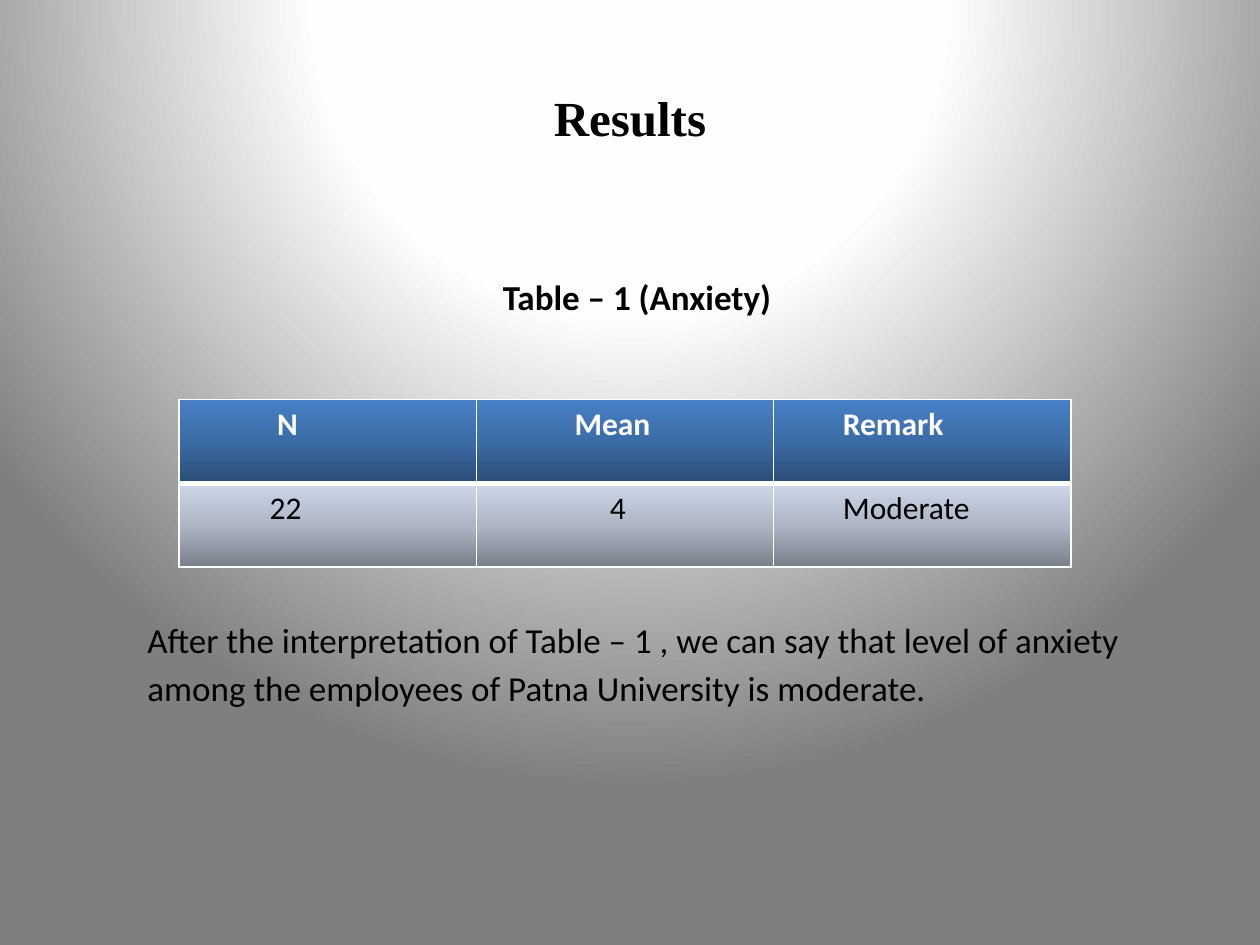
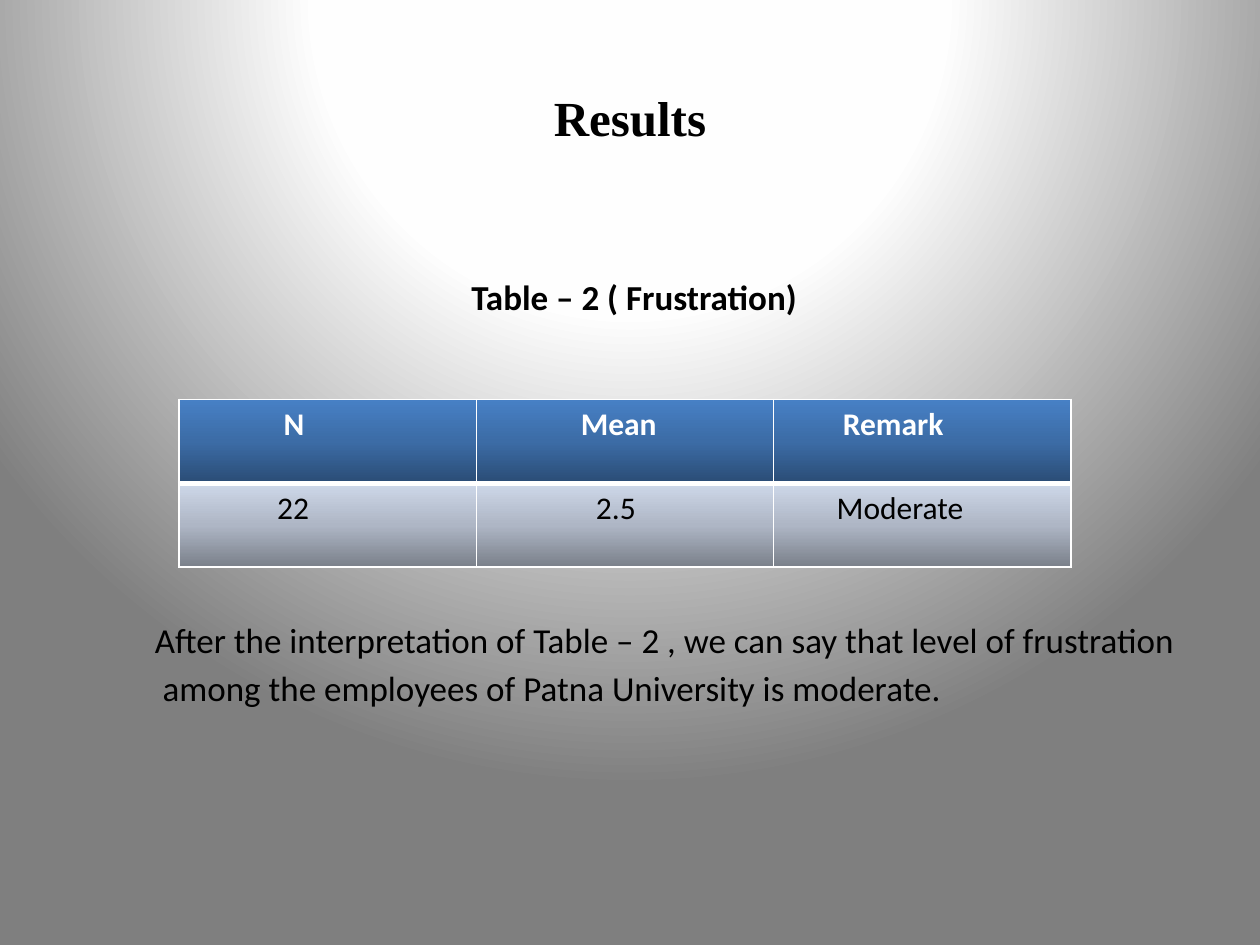
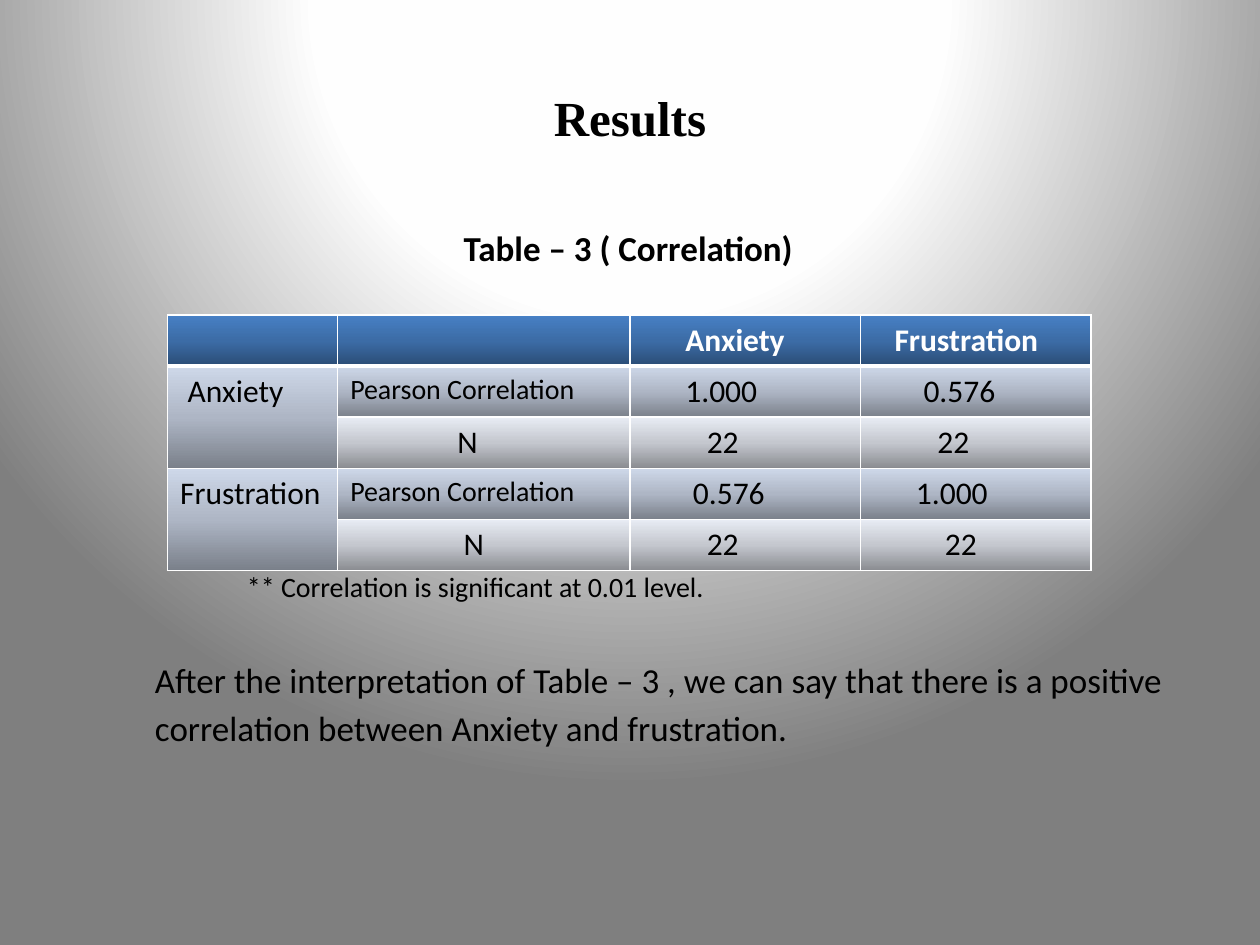
from lxml import etree
from pptx import Presentation
from pptx import util as u
from pptx.dml.color import RGBColor
from pptx.enum import text
from pptx.oxml.ns import qn

COLORS = {"black": "000000", "white": "FFFFFF"}
GRADIENTS = {
    "background": {0: "FFFFFF", 40: "FEFEFE", 100: "7F7F7F"},
    "header": {0: "2A4C75", 50: "3C6CA6", 100: "4780C5"},
    "dark band": {0: "7A808A", 50: "AEB6C5", 100: "CED8E9"},
    "light band": {0: "8A8C91", 50: "C4C7CE", 100: "E8ECF4"},
}
TITLE_FONT, BODY_FONT = "Times New Roman", "Calibri"
TITLE_BOX = (0.5, 0.3, 9, 1.25)
BODY_BOX = (0.5, 1.75, 9, 4.95)
CELL_MARGIN = 0.1
THIN, THICK = 1, 3
LINE_GAP = 3.6      # points between lines of the body
TABLE_GAP = 171.6   # points left free for the table
NOTE_GAP = 31.6     # points between footnote and conclusion


# Shared helpers
def add_run(paragraph, content, size, color="black", bold=False, font=BODY_FONT):
    run = paragraph.add_run()
    run.text = content
    run.font.name, run.font.size, run.font.bold = font, u.Pt(size), bold
    run.font.color.rgb = RGBColor.from_string(COLORS[color])


def place(shape, box):
    shape.left, shape.top, shape.width, shape.height = map(u.Inches, box)


def add_solid(parent, color):
    solid = etree.SubElement(parent, qn("a:solidFill"))
    etree.SubElement(solid, qn("a:srgbClr"), val=color)


def make_gradient(name):
    gradient = etree.Element(qn("a:gradFill"), rotWithShape="1")
    stops = etree.SubElement(gradient, qn("a:gsLst"))
    for position, color in GRADIENTS[name].items():
        stop = etree.SubElement(stops, qn("a:gs"), pos=str(position * 1000))
        etree.SubElement(stop, qn("a:srgbClr"), val=color)
    if name == "background":
        circle = etree.SubElement(gradient, qn("a:path"), path="circle")
        etree.SubElement(circle, qn("a:fillToRect"),
                         l="50000", t="-80000", r="50000", b="180000")
    else:
        etree.SubElement(gradient, qn("a:lin"), ang="16200000", scaled="0")
    return gradient


def set_background(master):
    master.background.fill.solid()
    properties = master.element.find(".//" + qn("p:bgPr"))
    properties.replace(properties[0], make_gradient("background"))


# Title
def fill_title(shape, box):
    place(shape, box)
    shape.text_frame.vertical_anchor = text.MSO_ANCHOR.MIDDLE
    paragraph = shape.text_frame.paragraphs[0]
    paragraph.alignment = text.PP_ALIGN.CENTER
    add_run(paragraph, "Results", 28, bold=True, font=TITLE_FONT)


# Body: each line is (text, indent, space before, size, bold)
def fill_body(shape, box, top_margin, lines):
    place(shape, box)
    frame = shape.text_frame
    frame.word_wrap = True
    frame.auto_size = text.MSO_AUTO_SIZE.NONE
    frame.margin_top = u.Inches(top_margin)
    for index, (content, indent, gap, size, bold) in enumerate(lines):
        paragraph = frame.add_paragraph() if index else frame.paragraphs[0]
        properties = paragraph._p.get_or_add_pPr()
        properties.set("marL", str(u.Inches(indent)))
        properties.set("indent", "0")
        etree.SubElement(properties, qn("a:buNone"))
        paragraph.space_before = u.Pt(gap)
        add_run(paragraph, content, size, bold=bold)


# Table: each cell is (text, indent) or (text, indent, size)
def style_cell(cell, row):
    properties = cell._tc.get_or_add_tcPr()
    widths = {"L": THIN, "R": THIN,
              "T": THICK if row == 1 else THIN,
              "B": THICK if row == 0 else THIN}
    for side, width in widths.items():
        line = etree.SubElement(properties, qn("a:ln" + side), w=str(u.Pt(width)))
        add_solid(line, COLORS["white"])
    band = "header" if row == 0 else "dark band" if row % 2 else "light band"
    properties.append(make_gradient(band))


def fill_cell(cell, header, content, indent, size=18):
    cell.margin_left = u.Inches(CELL_MARGIN + indent)
    add_run(cell.text_frame.paragraphs[0], content, size,
            "white" if header else "black", bold=header)


def add_results_table(slide, box, column_widths, rows, merges=()):
    shape = slide.shapes.add_table(len(rows), len(column_widths), *map(u.Inches, box))
    table = shape.table
    for column, width in zip(table.columns, column_widths):
        column.width = u.Inches(width)
    for row, cells in enumerate(rows):
        table.rows[row].height = u.Inches(box[3] / len(rows))
        for column, content in enumerate(cells):
            cell = table.cell(row, column)
            style_cell(cell, row)
            if content:
                fill_cell(cell, row == 0, *content)
    for first, last in merges:
        table.cell(*first).merge(table.cell(*last))


# Slides
def add_results_slide(presentation, top_margin, lines):
    slide = presentation.slides.add_slide(presentation.slide_layouts[1])
    fill_title(slide.shapes.title, TITLE_BOX)
    fill_body(slide.placeholders[1], BODY_BOX, top_margin, lines)
    return slide


def add_mean_slide(presentation, caption, conclusion, rows):
    first, second = conclusion
    slide = add_results_slide(presentation, 0.44, [
        (*caption, 0, 20, True),
        (*first, TABLE_GAP, 20, False),
        (*second, LINE_GAP, 20, False),
    ])
    add_results_table(slide, (1.42, 3.17, 7.08, 1.33), [2.36] * 3, rows)


def add_correlation_slide(presentation):
    slide = add_results_slide(presentation, 0.05, [
        ("Table – 3 ( Correlation)", 3.08, 0, 20, True),
        ("** Correlation is significant at 0.01 level.", 1.36, TABLE_GAP, 16, False),
        ("After the interpretation of Table – 3 , we can say that there is a positive",
         0.63, NOTE_GAP, 20, False),
        ("correlation between Anxiety and frustration.", 0.63, LINE_GAP, 20, False),
    ])
    pearson = ("Pearson Correlation", 0, 16)
    rows = [
        [None, None, ("Anxiety", 0.34), ("Frustration", 0.17)],
        [("Anxiety", 0.06), pearson, ("1.000", 0.34), ("0.576", 0.4)],
        [None, ("N", 0.85), ("22", 0.51), ("22", 0.51)],
        [("Frustration", 0), pearson, ("0.576", 0.4), ("1.000", 0.34)],
        [None, ("N", 0.9), ("22", 0.51), ("22", 0.57)],
    ]
    add_results_table(slide, (1.33, 2.5, 7.33, 2.02), [1.35, 2.32, 1.83, 1.83], rows,
                      merges=[((1, 0), (2, 0)), ((3, 0), (4, 0))])


def main():
    presentation = Presentation()
    presentation.slide_width, presentation.slide_height = u.Inches(10), u.Inches(7.5)
    set_background(presentation.slide_master)

    add_mean_slide(
        presentation,
        ("Table – 1 (Anxiety)", 3.39),
        [("After the interpretation of Table – 1 , we can say that level of anxiety", 0.57),
         ("among the employees of Patna University is moderate.", 0.57)],
        [[("N", 0.68), ("Mean", 0.68), ("Remark", 0.45)],
         [("22", 0.62), ("4", 0.96), ("Moderate", 0.45)]])
    add_mean_slide(
        presentation,
        ("Table – 2 ( Frustration)", 3.14),
        [("After the interpretation of Table – 2 , we can say that level of frustration", 0.63),
         ("among the employees of Patna University is moderate.", 0.69)],
        [[("N", 0.73), ("Mean", 0.73), ("Remark", 0.45)],
         [("22", 0.68), ("2.5", 0.85), ("Moderate", 0.4)]])
    add_correlation_slide(presentation)

    presentation.save("out.pptx")


if __name__ == "__main__":
    main()
